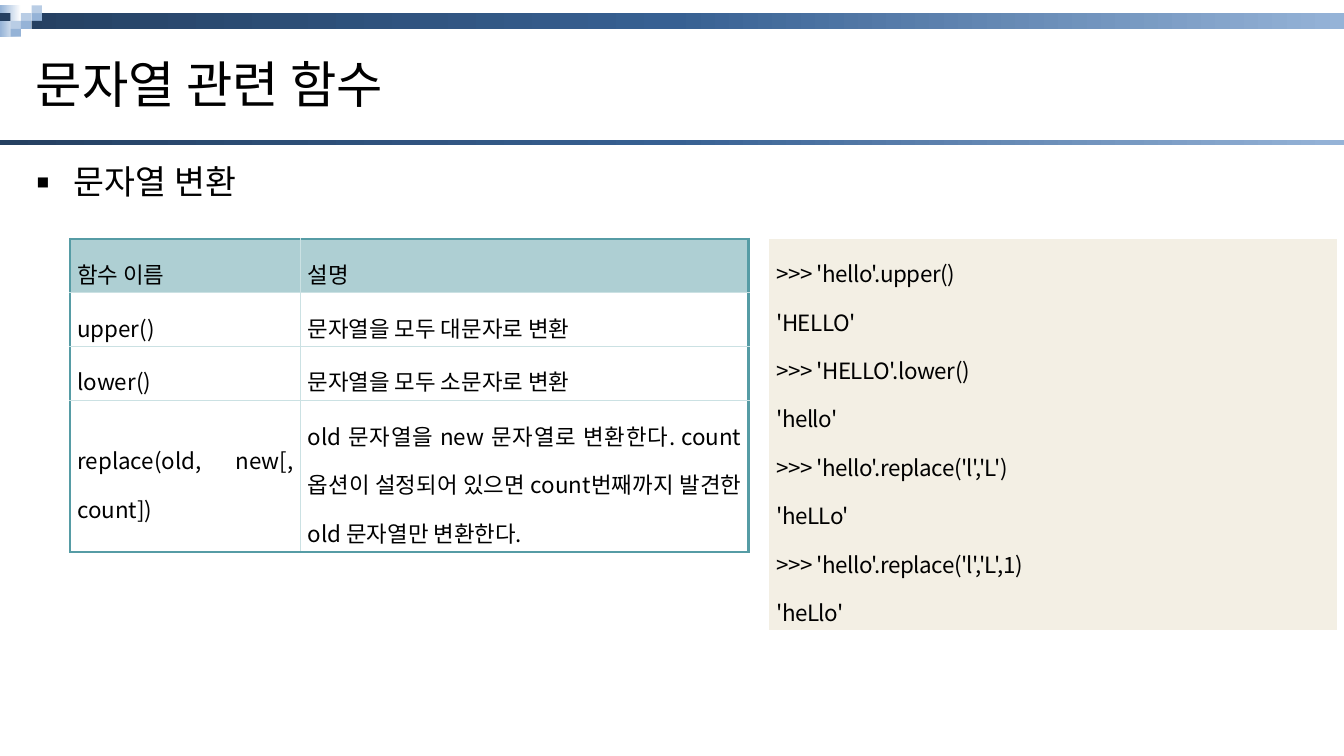
from copy import deepcopy
from dataclasses import dataclass

from lxml import etree
from pptx import Presentation
from pptx.dml.color import RGBColor
from pptx.enum.shapes import MSO_SHAPE
from pptx.enum.text import MSO_ANCHOR, PP_ALIGN
from pptx.oxml.ns import qn
from pptx.util import Pt

RECTANGLE = MSO_SHAPE.RECTANGLE
MIDDLE, TOP = MSO_ANCHOR.MIDDLE, MSO_ANCHOR.TOP
LEFT, JUSTIFY = PP_ALIGN.LEFT, PP_ALIGN.JUSTIFY

# Content
TITLE = "문자열 관련 함수"
BULLET = "문자열 변환"
FUNCTIONS = [
    ("함수 이름", "설명"),
    ("upper()", "문자열을 모두 대문자로 변환"),
    ("lower()", "문자열을 모두 소문자로 변환"),
    ("replace(old, new[, count])",
     "old 문자열을 new 문자열로 변환한다. count 옵션이 설정되어 있으면 "
     "count번째까지 발견한 old 문자열만 변환한다."),
]
SESSION = [
    ">>> 'hello'.upper()",
    "'HELLO'",
    ">>> 'HELLO'.lower()",
    "'hello'",
    ">>> 'hello'.replace('l','L')",
    "'heLLo'",
    ">>> 'hello'.replace('l','L',1)",
    "'heLlo'",
]


@dataclass(frozen=True)
class Theme:
    font: str = "Noto Sans CJK KR"
    title_size: int = 36
    body_size: int = 24
    table_size: int = 16
    text: str = "000000"
    navy: str = "254061"
    blue: str = "376092"
    sky: str = "95B3D7"
    pale: str = "B9CDE5"
    white: str = "FFFFFF"
    header: str = "AECFD3"
    frame: str = "569CA5"
    grid: str = "CBE1E3"
    code: str = "F3EFE4"


THEME = Theme()
BAR_COLORS = (THEME.navy, THEME.blue, THEME.sky)
CORNER_COLORS = (THEME.sky, THEME.white, THEME.white)

# Corner mosaic: (column, row, colour)
TILE_WIDTH, TILE_HEIGHT, MOSAIC_TOP = 7.5, 5.6, 3.8
TILES = [
    (2, 1, THEME.pale), (3, 1, THEME.sky), (1, 2, THEME.pale),
    (2, 2, THEME.sky), (3, 2, THEME.navy), (1, 3, THEME.sky),
    (0, 1, THEME.navy), (3, 0, THEME.pale),
]

# Layout in points
PAGE_WIDTH, PAGE_HEIGHT = 960, 540
MARGIN, TEXT_WIDTH = 18.5, 922.5
TABLE_TOP = 170.6
COLUMN_WIDTHS = (164.5, 320)
ROW_HEIGHTS = (38.4, 38.4, 38.4, 108.8)
CODE_WIDTH, CODE_HEIGHT = 405.5, 230


def style_span(span, size, spacing=None):
    span.font.size = Pt(size)
    span.font.name = THEME.font
    span.font.bold = False
    span.font.color.rgb = RGBColor.from_string(THEME.text)
    properties = span.font._element
    etree.SubElement(properties, qn("a:ea")).set("typeface", THEME.font)
    if spacing is not None:
        properties.set("spc", str(spacing))


def add_block(page, left, top, width, height, color):
    block = page.shapes.add_shape(RECTANGLE, Pt(left), Pt(top), Pt(width), Pt(height))
    block.shadow.inherit = False
    block.line.fill.background()
    if isinstance(color, str):
        block.fill.solid()
        block.fill.fore_color.rgb = RGBColor.from_string(color)
        return
    block.fill.gradient()
    block.fill.gradient_angle = 0
    stops = block._element.spPr.find(".//" + qn("a:gsLst"))
    stops.append(deepcopy(stops[-1]))
    for stop, shade, position in zip(block.fill.gradient_stops, color, (0, 0.5, 1)):
        stop.color.rgb = RGBColor.from_string(shade)
        stop.position = position


def fill_placeholder(box, text, top, height, size, anchor):
    box.left, box.top = Pt(MARGIN), Pt(top)
    box.width, box.height = Pt(TEXT_WIDTH), Pt(height)
    frame = box.text_frame
    frame.text = text
    frame.vertical_anchor = anchor
    para = frame.paragraphs[0]
    para.alignment = LEFT
    para.space_before = Pt(0)
    style_span(para.runs[0], size)
    return para


def add_bullet(para):
    properties = para._p.get_or_add_pPr()
    properties.set("marL", str(Pt(27)))
    properties.set("indent", str(-Pt(27)))
    etree.SubElement(properties, qn("a:buSzPct")).set("val", "120000")
    etree.SubElement(properties, qn("a:buChar")).set("char", "▪")


def set_border(cell, side, color=None, width=0.0):
    line = etree.SubElement(cell._tc.get_or_add_tcPr(), qn("a:ln" + side))
    line.set("w", str(Pt(width)))
    if color is None:
        etree.SubElement(line, qn("a:noFill"))
    else:
        solid = etree.SubElement(line, qn("a:solidFill"))
        etree.SubElement(solid, qn("a:srgbClr")).set("val", color)


def fill_cell(cell, text, color, spacing=None):
    cell.fill.solid()
    cell.fill.fore_color.rgb = RGBColor.from_string(color)
    cell.margin_left = cell.margin_right = Pt(5.1)
    cell.margin_top = cell.margin_bottom = Pt(1.4)
    cell.vertical_anchor = MIDDLE
    cell.text_frame.text = text
    for para in cell.text_frame.paragraphs:
        para.alignment = JUSTIFY
        para.line_spacing = 1.5
        for span in para.runs:
            style_span(span, THEME.table_size, spacing)


def add_plain_table(page, left, widths, heights):
    holder = page.shapes.add_table(len(heights), len(widths), Pt(left), Pt(TABLE_TOP),
                                   Pt(sum(widths)), Pt(sum(heights)))
    table = holder.table
    table.first_row = table.horz_banding = False
    for column, width in zip(table.columns, widths):
        column.width = Pt(width)
    for row, height in zip(table.rows, heights):
        row.height = Pt(height)
    return table


def main():
    deck = Presentation()
    deck.slide_width, deck.slide_height = Pt(PAGE_WIDTH), Pt(PAGE_HEIGHT)
    page = deck.slides.add_slide(deck.slide_layouts[1])

    # Header bars and corner mosaic
    add_block(page, 0, 9.4, PAGE_WIDTH, 11.2, BAR_COLORS)
    add_block(page, 0, MOSAIC_TOP, 4 * TILE_WIDTH, 4 * TILE_HEIGHT, CORNER_COLORS)
    for column, row, color in TILES:
        add_block(page, column * TILE_WIDTH, MOSAIC_TOP + row * TILE_HEIGHT,
                  TILE_WIDTH, TILE_HEIGHT, color)
    add_block(page, 0, 100, PAGE_WIDTH, 3.6, BAR_COLORS)

    # Title and bullet
    title, body = page.placeholders
    fill_placeholder(title, TITLE, 26, 67.5, THEME.title_size, MIDDLE)
    add_bullet(fill_placeholder(body, BULLET, 111.5, 408, THEME.body_size, TOP))

    # Function table: strong outer frame, thin inner grid
    table = add_plain_table(page, 50.2, COLUMN_WIDTHS, ROW_HEIGHTS)
    last_row, last_column = len(FUNCTIONS) - 1, len(COLUMN_WIDTHS) - 1
    for i, texts in enumerate(FUNCTIONS):
        for j, text in enumerate(texts):
            cell = table.cell(i, j)
            outer = {"L": j == 0, "R": j == last_column, "T": i == 0, "B": i == last_row}
            for side, framed in outer.items():
                set_border(cell, side, *((THEME.frame, 1.7) if framed else (THEME.grid, 0.28)))
            fill_cell(cell, text, THEME.white if i else THEME.header)

    # Interpreter session
    code_cell = add_plain_table(page, 549.4, [CODE_WIDTH], [CODE_HEIGHT]).cell(0, 0)
    for side in "LRTB":
        set_border(code_cell, side)
    fill_cell(code_cell, "\n".join(SESSION), THEME.code, spacing=-30)

    deck.save("out.pptx")


if __name__ == "__main__":
    main()
